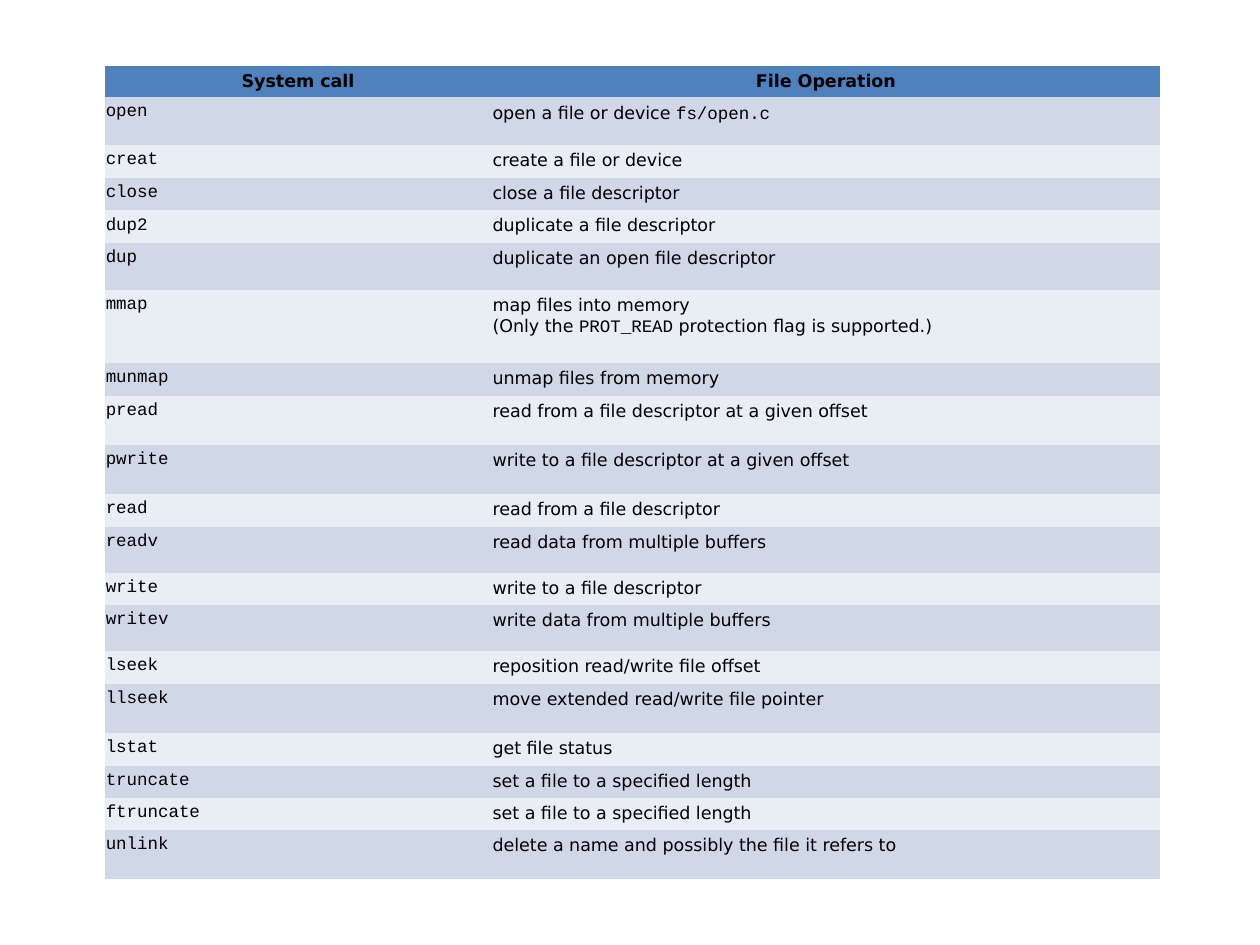
import dataclasses

import pptx
import pptx.dml.color
import pptx.enum.text
import pptx.oxml.ns
import pptx.util

ALIGN = pptx.enum.text.PP_ALIGN
ANCHOR = pptx.enum.text.MSO_ANCHOR
NO_STYLE_NO_GRID = "{2D5ABB26-0587-4C30-8999-92F81FD0307C}"


@dataclasses.dataclass(frozen=True)
class Theme:
    header: str = "4F81BD"
    bands: tuple = ("D0D8E8", "E9EDF4")
    text: str = "000000"
    body_font: str = "DejaVu Sans"
    code_font: str = "Courier New"
    size: int = 10
    body_spacing: float = 0.93
    code_spacing: float = 0.84
    second_line_spacing: float = 1.06


# Row height in grid rows, system call, file operation; backticks mark code
HEADER = (2.1, "System call", "File Operation")
SYSTEM_CALLS = [
    (3.8, "`open`", "open a file or device `fs/open.c`"),
    (2.6, "`creat`", "create a file or device"),
    (2.6, "`close`", "close a file descriptor"),
    (2.6, "`dup2`", "duplicate a file descriptor"),
    (3.7, "`dup`", "duplicate an open file descriptor"),
    (5.8, "`mmap`", "map files into memory\n"
                    "(Only the `PROT_READ` protection flag is supported.)"),
    (2.6, "`munmap`", "unmap files from memory"),
    (3.9, "`pread`", "read from a file descriptor at a given offset"),
    (3.9, "`pwrite`", "write to a file descriptor at a given offset"),
    (2.6, "`read`", "read from a file descriptor"),
    (3.7, "`readv`", "read data from multiple buffers"),
    (2.5, "`write`", "write to a file descriptor"),
    (3.7, "`writev`", "write data from multiple buffers"),
    (2.6, "`lseek`", "reposition read/write file offset"),
    (3.9, "`llseek`", "move extended read/write file pointer"),
    (2.6, "`lstat`", "get file status"),
    (2.5, "`truncate`", "set a file to a specified length"),
    (2.6, "`ftruncate`", "set a file to a specified length"),
    (3.9, "`unlink`", "delete a name and possibly the file it refers to"),
]


def write_text(text_frame, text, *, theme, bold=False, align=ALIGN.LEFT):
    """Write lines as paragraphs, with backticked parts in the code font."""
    for index, line in enumerate(text.split("\n")):
        paragraph = text_frame.add_paragraph() if index else text_frame.paragraphs[0]
        paragraph.alignment = align
        if index:
            paragraph.line_spacing = theme.second_line_spacing
        elif line.startswith("`"):
            paragraph.line_spacing = theme.code_spacing
        else:
            paragraph.line_spacing = theme.body_spacing
        for part, words in enumerate(line.split("`")):
            if not words:
                continue
            run = paragraph.add_run()
            run.text = words
            run.font.name = theme.code_font if part % 2 else theme.body_font
            run.font.size = pptx.util.Pt(theme.size)
            run.font.bold = bold
            run.font.color.rgb = pptx.dml.color.RGBColor.from_string(theme.text)


class SlideBuilder:
    """Places elements on a grid of 100 columns and 75 rows."""

    COLUMNS, ROWS = 100, 75

    def __init__(self, presentation, theme):
        self.theme = theme
        self.column = presentation.slide_width / self.COLUMNS
        self.row = presentation.slide_height / self.ROWS
        self.slide = presentation.slides.add_slide(presentation.slide_layouts[6])

    def across(self, columns):
        return pptx.util.Emu(round(columns * self.column))

    def down(self, rows):
        return pptx.util.Emu(round(rows * self.row))

    def table(self, left, top, widths, header, records):
        rows = [header, *records]
        height = sum(record[0] for record in rows)
        table = self.slide.shapes.add_table(
            len(rows), len(widths), self.across(left), self.down(top),
            self.across(sum(widths)), self.down(height)).table

        # Plain table: no borders, fills set cell by cell
        table.first_row = table.horz_banding = False
        style = table._tbl.tblPr.find(pptx.oxml.ns.qn("a:tableStyleId"))
        style.text = NO_STYLE_NO_GRID

        for column, width in zip(table.columns, widths):
            column.width = self.across(width)
        for index, (row_height, *texts) in enumerate(rows):
            table.rows[index].height = self.down(row_height)
            fill = self.theme.bands[(index - 1) % 2] if index else self.theme.header
            for cell, text in zip(table.rows[index].cells, texts):
                self.cell(cell, text, fill, is_header=index == 0)

    def cell(self, cell, text, fill, is_header):
        cell.fill.solid()
        cell.fill.fore_color.rgb = pptx.dml.color.RGBColor.from_string(fill)
        cell.margin_left = cell.margin_right = pptx.util.Inches(0.01)
        cell.margin_top = cell.margin_bottom = pptx.util.Inches(0.05)
        cell.vertical_anchor = ANCHOR.BOTTOM if is_header else ANCHOR.TOP
        write_text(cell.text_frame, text, theme=self.theme, bold=is_header,
                   align=ALIGN.CENTER if is_header else ALIGN.LEFT)


def main():
    presentation = pptx.Presentation()
    presentation.slide_width = pptx.util.Inches(10)
    presentation.slide_height = pptx.util.Inches(7.5)

    # System call table
    builder = SlideBuilder(presentation, Theme())
    builder.table(8.3, 5.2, (30.7, 53.1), HEADER, SYSTEM_CALLS)

    presentation.save("out.pptx")


if __name__ == "__main__":
    main()
